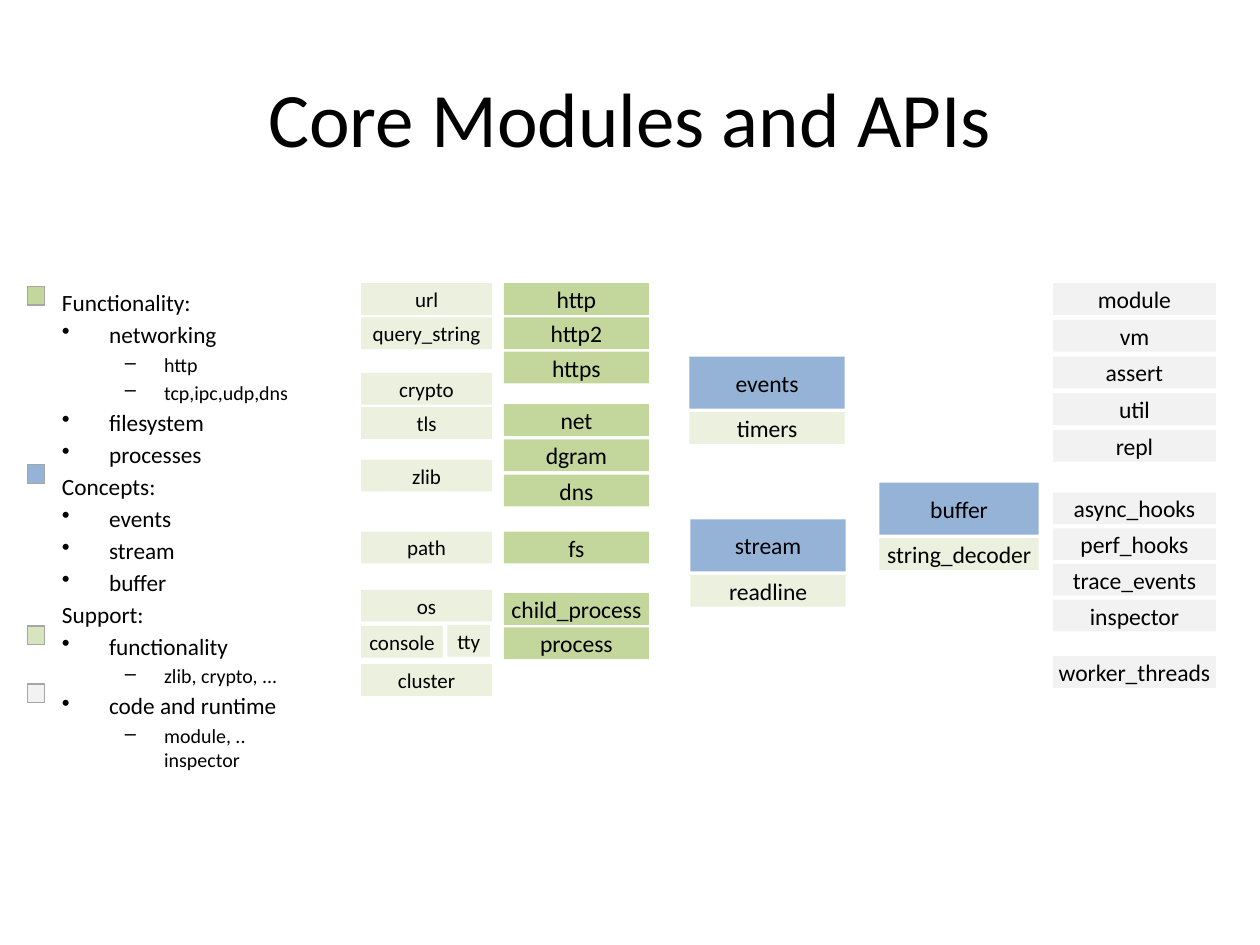
from lxml import etree
from pptx import Presentation
from pptx.dml.color import RGBColor
from pptx.enum.shapes import MSO_SHAPE
from pptx.enum.text import MSO_ANCHOR, PP_ALIGN
from pptx.oxml.ns import qn
from pptx.util import Cm, Pt

RECTANGLE = MSO_SHAPE.RECTANGLE
MIDDLE = MSO_ANCHOR.MIDDLE
CENTER = PP_ALIGN.CENTER

BLACK = RGBColor(0x00, 0x00, 0x00)
GREEN = RGBColor(0xC3, 0xD6, 0x9B)
PALE_GREEN = RGBColor(0xEB, 0xF1, 0xDE)
LEGEND_GREEN = RGBColor(0xD7, 0xE4, 0xBD)
BLUE = RGBColor(0x95, 0xB3, 0xD7)
LIGHT_GRAY = RGBColor(0xF2, 0xF2, 0xF2)
BORDER_GRAY = RGBColor(0xA6, 0xA6, 0xA6)

FONT = "Calibri"
ROW_HEIGHT = 0.64

# Outline level: (left margin in cm, hanging indent in cm, bullet, size in pt)
HEADING, ITEM, DETAIL = range(3)
OUTLINE_STYLES = {
    HEADING: (0, 0, None, 13.3),
    ITEM: (0.95, 0.95, "•", 13.3),
    DETAIL: (2.06, 0.79, "–", 11.4),
}
OUTLINE = [
    (HEADING, "Functionality:"),
    (ITEM, "networking"),
    (DETAIL, "http"),
    (DETAIL, "tcp,ipc,udp,dns"),
    (ITEM, "filesystem"),
    (ITEM, "processes"),
    (HEADING, "Concepts:"),
    (ITEM, "events"),
    (ITEM, "stream"),
    (ITEM, "buffer"),
    (HEADING, "Support:"),
    (ITEM, "functionality"),
    (DETAIL, "zlib, crypto, ..."),
    (ITEM, "code and runtime"),
    (DETAIL, "module, .. inspector"),
]


def style_font(paragraph, size):
    paragraph.font.name = FONT
    paragraph.font.size = Pt(size)
    paragraph.font.color.rgb = BLACK


def add_rectangle(slide, left, top, width, height, color):
    rectangle = slide.shapes.add_shape(
        RECTANGLE, Cm(left), Cm(top), Cm(width), Cm(height))
    rectangle.shadow.inherit = False
    rectangle.fill.solid()
    rectangle.fill.fore_color.rgb = color
    return rectangle


def add_module(slide, name, left, top, width, color, height=ROW_HEIGHT, size=13.5):
    module = add_rectangle(slide, left, top, width, height, color)
    module.line.fill.background()
    frame = module.text_frame
    frame.word_wrap = True
    frame.vertical_anchor = MIDDLE
    frame.margin_left = frame.margin_right = Cm(0.08)
    frame.margin_top = frame.margin_bottom = Cm(0.1)
    paragraph = frame.paragraphs[0]
    paragraph.text = name
    paragraph.alignment = CENTER
    style_font(paragraph, size)


def add_module_column(slide, left, top, width, color, groups, size=13.5):
    """Stack groups of modules; each group is (offset, pitch, names)."""
    for offset, pitch, names in groups:
        for row, name in enumerate(names):
            add_module(slide, name, left, top + offset + row * pitch, width,
                       color, size=size)


def add_title(slide):
    title = slide.shapes.title
    title.left, title.top, title.width, title.height = (
        Cm(1.27), Cm(0.76), Cm(22.86), Cm(3.18))
    title.text_frame.vertical_anchor = MIDDLE
    paragraph = title.text_frame.paragraphs[0]
    paragraph.text = "Core Modules and APIs"
    paragraph.alignment = CENTER
    style_font(paragraph, 44)


def add_outline(slide, left, top, width, height):
    # Colour key beside the outline
    for offset, color in [(0.08, GREEN), (3.68, BLUE),
                          (6.93, LEGEND_GREEN), (8.1, LIGHT_GRAY)]:
        key = add_rectangle(slide, left - 0.44, top + offset, 0.34, 0.38, color)
        key.line.color.rgb = BORDER_GRAY
        key.line.width = Pt(0.75)

    # Bulleted outline
    frame = slide.shapes.add_textbox(
        Cm(left), Cm(top), Cm(width), Cm(height)).text_frame
    frame.word_wrap = True
    for index, (level, text) in enumerate(OUTLINE):
        paragraph = frame.add_paragraph() if index else frame.paragraphs[0]
        paragraph.text = text
        margin, hanging, bullet, size = OUTLINE_STYLES[level]
        if index:
            paragraph.space_before = Pt(2.3)
        if bullet:
            paragraph.level = level - ITEM
            properties = paragraph._p.get_or_add_pPr()
            properties.set("marL", str(Cm(margin)))
            properties.set("indent", str(-Cm(hanging)))
            etree.SubElement(properties, qn("a:buChar")).set("char", bullet)
        style_font(paragraph, size)


def add_support_modules(slide, left, top, width):
    add_module_column(slide, left, top, width, PALE_GREEN, [
        (0, 0.69, ["url", "query_string"]),
        (1.81, 0.69, ["crypto", "tls"]),
        (3.56, 0, ["zlib"]),
        (5.01, 0, ["path"]),
        (6.18, 0, ["os"]),
        (7.68, 0, ["cluster"]),
    ], size=12)
    # Console and tty share one row
    add_module(slide, "console", left, top + 6.91, 1.65, PALE_GREEN, size=12)
    add_module(slide, "tty", left + 1.74, top + 6.89, 0.86, PALE_GREEN, size=12)


def add_functionality_modules(slide, left, top, width):
    add_module_column(slide, left, top, width, GREEN, [
        (0, 0.69, ["http", "http2", "https"]),
        (2.44, 0.71, ["net", "dgram", "dns"]),
        (5.01, 0, ["fs"]),
        (6.25, 0.69, ["child_process", "process"]),
    ])


def add_concept(slide, left, top, width, concept, helper):
    concept_height = 1.05
    add_module(slide, concept, left, top, width, BLUE, height=concept_height)
    add_module(slide, helper, left, top + concept_height + 0.07, width, PALE_GREEN)


def add_runtime_modules(slide, left, top, width):
    add_module_column(slide, left, top, width, LIGHT_GRAY, [
        (0, 0.74, ["module", "vm", "assert", "util", "repl"]),
        (4.22, 0.72, ["async_hooks", "perf_hooks", "trace_events", "inspector"]),
        (7.52, 0, ["worker_threads"]),
    ])


def main():
    presentation = Presentation()
    presentation.slide_width = Cm(25.4)
    presentation.slide_height = Cm(19.05)
    title_only = presentation.slide_layouts[5]
    slide = presentation.slides.add_slide(title_only)

    add_title(slide)
    add_outline(slide, 1, 5.69, 5.56, 9.42)
    add_support_modules(slide, 7.28, 5.71, 2.64)
    add_functionality_modules(slide, 10.16, 5.71, 2.92)
    add_concept(slide, 13.9, 7.19, 3.13, "events", "timers")
    add_concept(slide, 13.92, 10.47, 3.13, "stream", "readline")
    add_concept(slide, 17.73, 9.73, 3.21, "buffer", "string_decoder")
    add_runtime_modules(slide, 21.23, 5.71, 3.28)

    presentation.save("out.pptx")


if __name__ == "__main__":
    main()
